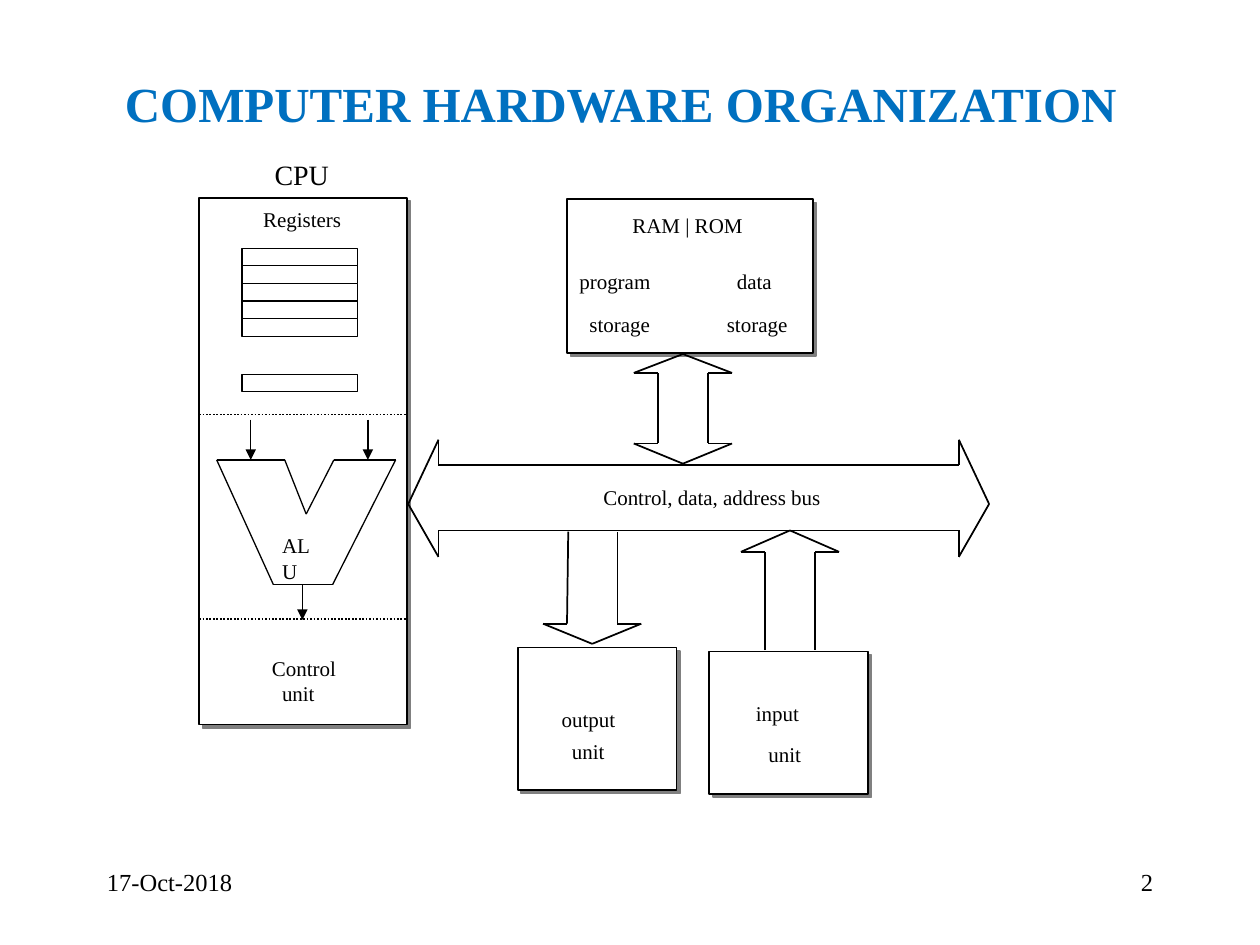
from itertools import pairwise

from lxml import etree
from pptx import Presentation
from pptx.dml.color import RGBColor
from pptx.enum.dml import MSO_LINE
from pptx.enum.shapes import MSO_CONNECTOR, MSO_SHAPE
from pptx.enum.text import MSO_ANCHOR, PP_ALIGN
from pptx.oxml.ns import qn
from pptx.util import Emu, Pt

EMU_PER_PX = 9144
RECT = MSO_SHAPE.RECTANGLE
STRAIGHT = MSO_CONNECTOR.STRAIGHT
DOTTED = MSO_LINE.ROUND_DOT
MIDDLE = MSO_ANCHOR.MIDDLE
LEFT, CENTER, RIGHT = PP_ALIGN.LEFT, PP_ALIGN.CENTER, PP_ALIGN.RIGHT


def px(value):
    return Emu(value * EMU_PER_PX)


def rgb(value):
    return RGBColor.from_string(value)


def arrow_head(cx, tip, depth):
    base = tip + depth
    return [(cx - 20, base), (cx - 39, base), (cx, tip), (cx + 39, base), (cx + 20, base)]


class Diagram:
    font = "Times New Roman"
    ink = "000000"
    paper = "FFFFFF"
    accent = "0070C0"
    shade = "808080"

    def __init__(self, slide):
        self.slide = slide
        self.shapes = slide.shapes

    def run(self, p, text, size, color, bold=False):
        r = p.add_run()
        r.text = text
        r.font.name = self.font
        r.font.size = Pt(size)
        r.font.bold = bold
        r.font.color.rgb = rgb(color)

    def stroke(self, line, width):
        line.color.rgb = rgb(self.ink)
        line.width = Pt(width)

    def title(self, text, x, y, w, h):
        sp = self.shapes.title
        sp.left, sp.top, sp.width, sp.height = px(x), px(y), px(w), px(h)
        tf = sp.text_frame
        tf.vertical_anchor = MIDDLE
        p = tf.paragraphs[0]
        p.alignment = CENTER
        self.run(p, text, 28, self.accent, bold=True)

    def text(self, lines, x, y, w, h, size=12, align=LEFT, wrap=False, indent=0):
        tf = self.shapes.add_textbox(px(x), px(y), px(w), px(h)).text_frame
        tf.word_wrap = wrap
        for i, line in enumerate(lines):
            p = tf.add_paragraph() if i else tf.paragraphs[0]
            p.alignment = align
            if i and indent:
                p._p.get_or_add_pPr().set("marL", str(px(indent)))
            self.run(p, line, size, self.ink)

    def box(self, x, y, w, h, width=1.0, shadow=False):
        sp = self.shapes.add_shape(RECT, px(x), px(y), px(w), px(h))
        sp.fill.solid()
        sp.fill.fore_color.rgb = rgb(self.paper)
        self.stroke(sp.line, width)
        sp.shadow.inherit = False
        if shadow:
            effects = sp._element.spPr.find(qn("a:effectLst"))
            outer = etree.SubElement(effects, qn("a:outerShdw"), dist=str(Pt(2.8)),
                                     dir="2700000", algn="ctr", rotWithShape="0")
            etree.SubElement(outer, qn("a:srgbClr"), val=self.shade)

    def line(self, x1, y1, x2, y2, width=1.0, dash=None, arrow=False):
        cn = self.shapes.add_connector(STRAIGHT, px(x1), px(y1), px(x2), px(y2))
        self.stroke(cn.line, width)
        if dash:
            cn.line.dash_style = dash
        if arrow:
            etree.SubElement(cn.line._get_or_add_ln(), qn("a:tailEnd"), type="triangle")
        etree.SubElement(cn._element.spPr, qn("a:effectLst"))

    def outline(self, points, width=1.0, close=True):
        for start, end in pairwise(points + points[:1] if close else points):
            self.line(*start, *end, width=width)


def draw_cpu(d):
    d.text(["CPU"], 190, 120, 99, 37, size=16, align=CENTER, wrap=True)
    d.box(158, 157, 165, 418, shadow=True)
    for y in (329, 491):
        d.line(158, y, 323, y, dash=DOTTED)
    d.text(["Registers"], 199, 159, 82, 30)
    for y in [197 + 14 * i for i in range(5)] + [297]:
        d.box(192, y, 92, 14, width=0.75)
    d.outline([(172, 365), (226, 365), (243, 408), (265, 365), (314, 365),
               (264, 464), (217, 464)], width=0.75)
    d.text(["ALU"], 214, 418, 52, 30, wrap=True)
    for x, top, bottom in ((199, 333, 365), (292, 333, 365), (240, 464, 492)):
        d.line(x, top, x, bottom, width=0.75, arrow=True)
    d.text(["Control", "unit"], 206, 515, 71, 50, indent=8)


def draw_memory(d):
    d.box(450, 158, 195, 122, shadow=True)
    d.text(["RAM | ROM"], 492, 164, 122, 30, wrap=True)
    for label, x, y, w in (("program", 450, 208, 77), ("storage", 458, 242, 68),
                           ("data", 575, 208, 48), ("storage", 567, 242, 68)):
        d.text([label], x, y, w, 30)


def draw_bus(d):
    d.outline(arrow_head(542, 281, 15) + arrow_head(542, 368, -16)[::-1])
    d.outline([(451, 422)] + arrow_head(470, 511, -16) + [(490, 422)], close=False)
    d.outline([(607, 516)] + arrow_head(627, 421, 17) + [(647, 516)], close=False)
    d.outline([(324, 400), (348, 349), (348, 369), (761, 369), (761, 349),
               (785, 400), (761, 442), (761, 421), (348, 421), (348, 442)])
    d.text(["Control, data, address bus"], 469, 380, 203, 30, wrap=True)


def draw_units(d):
    for x, y in ((411, 514), (563, 517)):
        d.box(x, y, 126, 113, shadow=True)
    for label, x, y, w in (("output", 436, 556, 63), ("unit", 444, 581, 46),
                           ("input", 590, 551, 55), ("unit", 600, 584, 46)):
        d.text([label], x, y, w, 30)


def main():
    prs = Presentation()
    prs.slide_width, prs.slide_height = px(1000), px(750)
    d = Diagram(prs.slides.add_slide(prs.slide_layouts[5]))
    d.title("COMPUTER HARDWARE ORGANIZATION", 39, 53, 907, 57)
    draw_cpu(d)
    draw_memory(d)
    draw_bus(d)
    draw_units(d)
    d.text(["17-Oct-2018"], 75, 683, 208, 50, size=14, wrap=True)
    d.text(["2"], 717, 683, 208, 50, size=14, align=RIGHT, wrap=True)
    prs.save("out.pptx")


if __name__ == "__main__":
    main()
